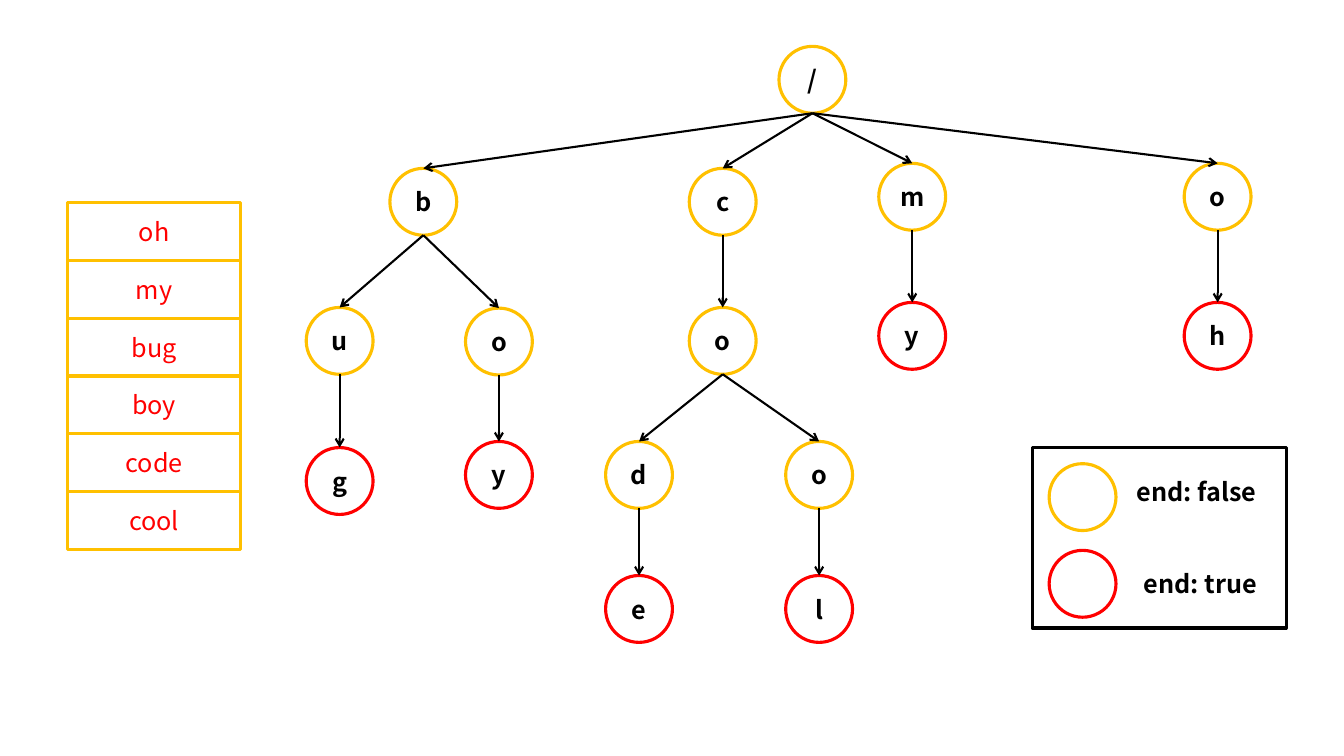
from dataclasses import dataclass

from lxml.etree import SubElement
from pptx import Presentation
from pptx.dml.color import RGBColor
from pptx.enum.shapes import MSO_CONNECTOR, MSO_SHAPE
from pptx.enum.text import MSO_ANCHOR, MSO_AUTO_SIZE, PP_ALIGN
from pptx.oxml.ns import qn
from pptx.util import Inches, Pt

COLUMNS, ROWS = 40, 22.5
SLIDE_WIDTH, SLIDE_HEIGHT = Inches(13.33), Inches(7.5)
FONT = "Noto Sans CJK SC"
AMBER, RED, BLACK = "FFC000", "FF0000", "000000"
NODE_SIZE = 1.99
WORD_HEIGHT = 1.72
WORDS = ["oh", "my", "bug", "boy", "code", "cool"]


@dataclass
class TrieNode:
    """A letter with its centre column, top row and child letters."""
    letter: str
    column: float
    row: float
    children: tuple = ()

    @property
    def outline(self):
        """Return red where a word ends and amber elsewhere."""
        return AMBER if self.children else RED


TRIE = TrieNode("/", 24.18, 1.38, (
    TrieNode("b", 12.6, 5.01, (
        TrieNode("u", 10.11, 9.15, (TrieNode("g", 10.11, 13.32),)),
        TrieNode("o", 14.85, 9.17, (TrieNode("y", 14.85, 13.14),)),
    )),
    TrieNode("c", 21.51, 5.01, (
        TrieNode("o", 21.51, 9.15, (
            TrieNode("d", 19.02, 13.14, (TrieNode("e", 19.02, 17.13),)),
            TrieNode("o", 24.38, 13.14, (TrieNode("l", 24.38, 17.13),)),
        )),
    )),
    TrieNode("m", 27.15, 4.86, (TrieNode("y", 27.15, 9),)),
    TrieNode("o", 36.24, 4.86, (TrieNode("h", 36.24, 9),)),
))


def across(columns):
    """Turn grid columns into a horizontal length."""
    return round(SLIDE_WIDTH * columns / COLUMNS)


def down(rows):
    """Turn grid rows into a vertical length."""
    return round(SLIDE_HEIGHT * rows / ROWS)


def color(hex_code):
    """Turn a hex string into a colour."""
    return RGBColor.from_string(hex_code)


def add_text(paragraph, text, ink, bold):
    """Add one formatted run to a paragraph."""
    run = paragraph.add_run()
    run.text = text
    run.font.name = FONT
    run.font.size = Pt(18)
    run.font.bold = bold
    run.font.color.rgb = color(ink)


def add_outline(slide, preset, left, top, width, height, outline,
                text="", ink=BLACK, bold=True):
    """Add an unfilled outlined shape with optional centred text."""
    shape = slide.shapes.add_shape(
        preset, across(left), down(top), across(width), down(height))
    shape.shadow.inherit = False
    shape.fill.background()
    shape.line.color.rgb = color(outline)
    shape.line.width = Pt(2.25)
    if text:
        shape.text_frame.vertical_anchor = MSO_ANCHOR.MIDDLE
        paragraph = shape.text_frame.paragraphs[0]
        paragraph.alignment = PP_ALIGN.CENTER
        add_text(paragraph, text, ink, bold)
    return shape


def add_circle(slide, center, top, outline, letter=""):
    """Add a trie circle centred on a column."""
    return add_outline(slide, MSO_SHAPE.OVAL, center - NODE_SIZE / 2, top,
                       NODE_SIZE, NODE_SIZE, outline, letter)


def add_arrow(slide, parent, child):
    """Draw an arrow from the bottom of one circle to the top of another."""
    arrow = slide.shapes.add_connector(
        MSO_CONNECTOR.STRAIGHT,
        parent.left + parent.width // 2, parent.top + parent.height,
        child.left + child.width // 2, child.top)
    arrow.end_connect(child, 0)
    arrow.line.color.rgb = color(BLACK)
    arrow.line.width = Pt(1.5)
    SubElement(arrow.line._get_or_add_ln(), qn("a:tailEnd"), type="arrow")
    SubElement(arrow._element.spPr, qn("a:effectLst"))


def add_trie(slide, node):
    """Draw a node with all its descendants and return its circle."""
    circle = add_circle(slide, node.column, node.row, node.outline, node.letter)
    for child in node.children:
        add_arrow(slide, circle, add_trie(slide, child))
    return circle


def add_word_list(slide):
    """Stack the stored words in equal boxes."""
    for index, word in enumerate(WORDS):
        add_outline(slide, MSO_SHAPE.RECTANGLE, 2.01, 6.03 + index * WORD_HEIGHT,
                    5.16, WORD_HEIGHT, AMBER, word, RED, False)


def add_label(slide, text, left, top, width):
    """Add a bold legend label on one line."""
    label = slide.shapes.add_textbox(
        across(left), down(top), across(width), down(1.2))
    label.text_frame.word_wrap = False
    label.text_frame.auto_size = MSO_AUTO_SIZE.SHAPE_TO_FIT_TEXT
    add_text(label.text_frame.paragraphs[0], text, BLACK, True)


def add_legend(slide):
    """Explain the two outline colours in a framed legend."""
    add_label(slide, "end: false", 33.54, 14.04, 4.44)
    add_label(slide, "end: true", 33.75, 16.77, 4.05)
    add_circle(slide, 32.22, 13.8, AMBER)
    add_circle(slide, 32.22, 16.38, RED)
    add_outline(slide, MSO_SHAPE.RECTANGLE, 30.72, 13.32, 7.56, 5.37, BLACK)


def main():
    """Build the trie slide and save it."""
    presentation = Presentation()
    presentation.slide_width = SLIDE_WIDTH
    presentation.slide_height = SLIDE_HEIGHT
    slide = presentation.slides.add_slide(presentation.slide_layouts[6])
    add_word_list(slide)
    add_trie(slide, TRIE)
    add_legend(slide)
    presentation.save("out.pptx")


if __name__ == "__main__":
    main()
